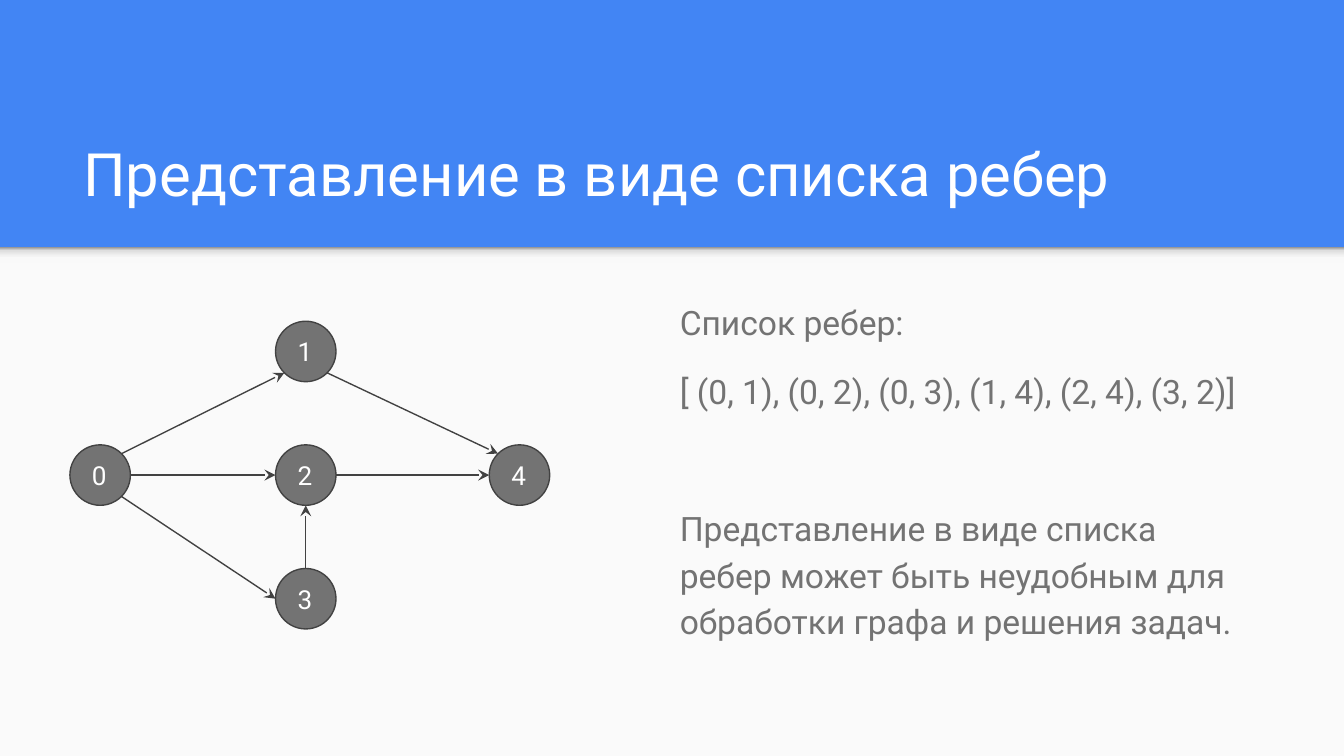
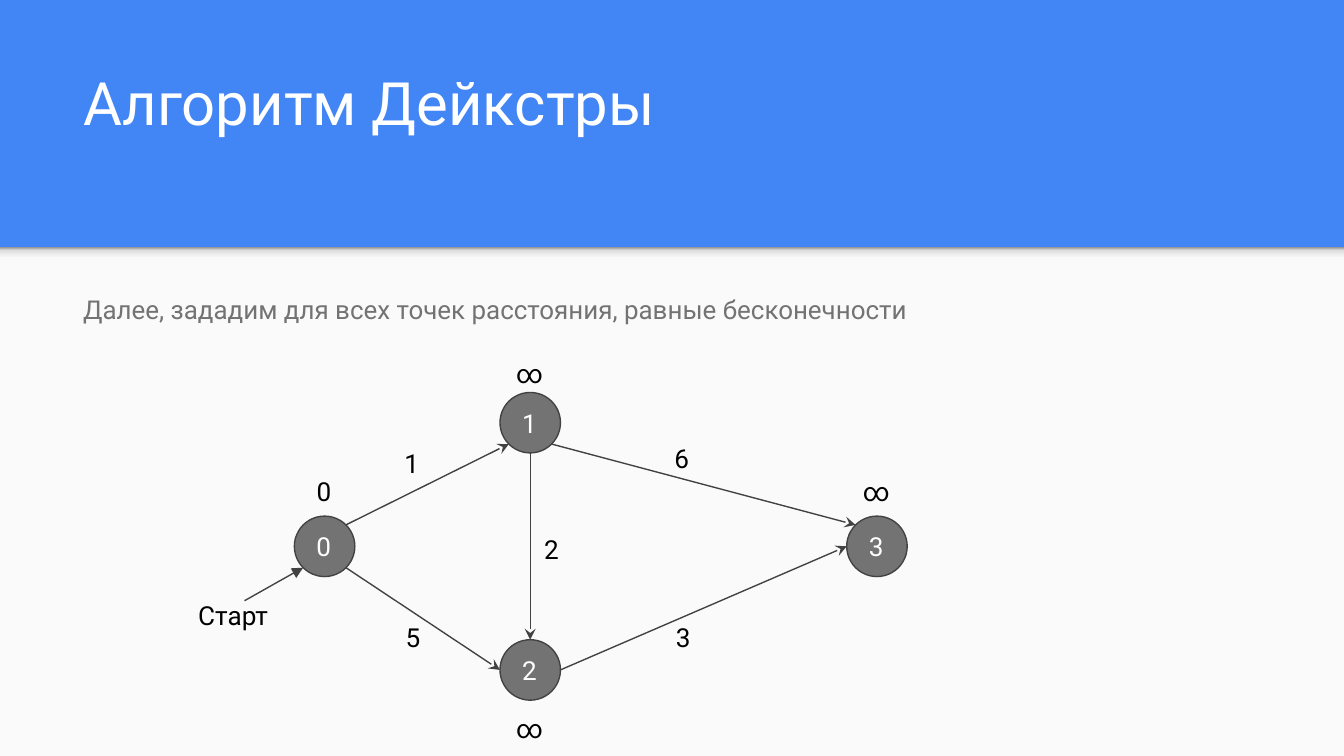
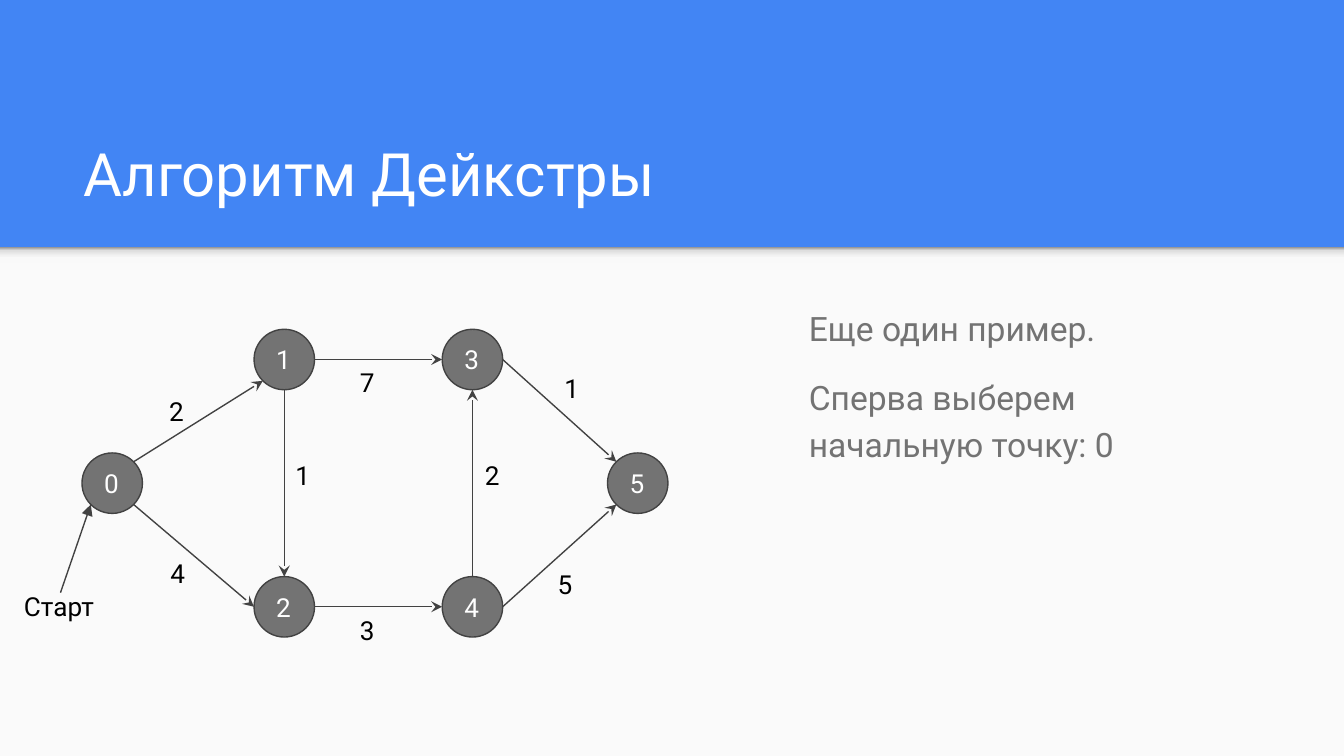
import math

import pptx
import pptx.dml.color
import pptx.enum.shapes
import pptx.enum.text
import pptx.oxml
import pptx.oxml.ns
import pptx.util
from lxml import etree

Inches = pptx.util.Inches
Pt = pptx.util.Pt
ANCHOR = pptx.enum.text.MSO_ANCHOR
ALIGN = pptx.enum.text.PP_ALIGN
SHAPE = pptx.enum.shapes.MSO_SHAPE
qn = pptx.oxml.ns.qn

# Shared look
FONT = "Roboto"
BLUE, PANEL, WHITE, BLACK = "4285F4", "FAFAFA", "FFFFFF", "000000"
GREY, DARK = "737373", "424242"
SHADOW_STOPS = [(0, "F9F9F9"), (36, "F9F9F9"), (80, "DEDEDE"), (100, "999999")]
WIDTH = 10
HEIGHT = WIDTH * 9 / 16
BAND = 1.84
INSET = 0.1

# Graph geometry
NODE, ROW = 0.45, 0.92
DIAG = math.sqrt(0.5)
SIDES = {"t": (0, -1), "b": (0, 1), "l": (-1, 0), "r": (1, 0),
         "tl": (-DIAG, -DIAG), "tr": (DIAG, -DIAG),
         "bl": (-DIAG, DIAG), "br": (DIAG, DIAG)}


def rgb(color):
    return pptx.dml.color.RGBColor.from_string(color)


def set_frame(tf, anchor=ANCHOR.TOP):
    tf.word_wrap = True
    tf.vertical_anchor = anchor
    tf.margin_left = tf.margin_right = Inches(INSET)
    tf.margin_top = tf.margin_bottom = Inches(INSET)


def add_text(tf, text, size=14, color=BLACK, align=ALIGN.LEFT,
             spacing=1.0, before=0, after=0):
    """Write one paragraph, using the first one while it is empty."""
    p = tf.paragraphs[0]
    if p.runs:
        p = tf.add_paragraph()
    p.alignment, p.line_spacing = align, spacing
    p.space_before, p.space_after = Pt(before), Pt(after)
    r = p.add_run()
    r.text = text
    r.font.name, r.font.size = FONT, Pt(size)
    r.font.color.rgb = rgb(color)


def add_box(s, x, y, w, h):
    sp = s.shapes.add_textbox(Inches(x), Inches(y), Inches(w), Inches(h))
    set_frame(sp.text_frame)
    return sp.text_frame


def add_label(s, text, x, y, w, h, **fmt):
    add_text(add_box(s, x, y, w, h), text, **fmt)


def add_filled(s, kind, x, y, w, h, fill, line=None):
    sp = s.shapes.add_shape(kind, Inches(x), Inches(y), Inches(w), Inches(h))
    sp.shadow.inherit = False
    sp.fill.solid()
    sp.fill.fore_color.rgb = rgb(fill)
    if line:
        sp.line.color.rgb = rgb(line)
        sp.line.width = Pt(0.75)
    else:
        sp.line.fill.background()
    return sp


def add_arrow(s, start, end, head="stealth"):
    points = [Inches(v) for v in (*start, *end)]
    cx = s.shapes.add_connector(pptx.enum.shapes.MSO_CONNECTOR.STRAIGHT, *points)
    cx.line.color.rgb = rgb(DARK)
    cx.line.width = Pt(0.75)
    sppr = cx._element.spPr
    etree.SubElement(sppr.find(qn("a:ln")), qn("a:tailEnd"),
                     type=head, w="med", len="med")
    etree.SubElement(sppr, qn("a:effectLst"))


def add_panel(s):
    """Light panel below the blue band, with a shadow along its top edge."""
    add_filled(s, SHAPE.RECTANGLE, 0, BAND, WIDTH, HEIGHT - BAND, PANEL)
    shadow = add_filled(s, SHAPE.RECTANGLE, 0, BAND, WIDTH, 0.12, PANEL)
    shadow.fill.gradient()
    shadow.fill.gradient_angle = 90
    stops = shadow._element.spPr.find(".//" + qn("a:gsLst"))
    for stop in list(stops):
        stops.remove(stop)
    for pos, color in SHADOW_STOPS:
        stop = etree.SubElement(stops, qn("a:gs"), pos=str(pos * 1000))
        etree.SubElement(stop, qn("a:srgbClr"), val=color)


def add_slide(prs, title, raised=0):
    """Slide with band and title; raised lifts the title inside its box."""
    s = prs.slides.add_slide(prs.slide_layouts[5])
    add_panel(s)
    sp = s.shapes.title
    sp.left, sp.top = Inches(0.52), Inches(0.81)
    sp.width, sp.height = Inches(8.99), Inches(0.84)
    set_frame(sp.text_frame, ANCHOR.BOTTOM)
    sp.text_frame.margin_bottom = Inches(INSET + raised)
    add_text(sp.text_frame, title, size=32, color=WHITE)
    return s


def add_graph(s, left, top, nodes, edges, weights=()):
    """nodes: (x, row); edges: (from, side, to, side); weights: (text, x, y)."""
    corners = [(left + x, top + row * ROW) for x, row in nodes]

    def port(i, side):
        return [c + NODE / 2 * (1 + d) for c, d in zip(corners[i], SIDES[side])]

    for i, (x, y) in enumerate(corners):
        sp = add_filled(s, SHAPE.OVAL, x, y, NODE, NODE, GREY, DARK)
        set_frame(sp.text_frame, ANCHOR.MIDDLE)
        add_text(sp.text_frame, str(i), color=WHITE)
    for a, side_a, b, side_b in edges:
        add_arrow(s, port(a, side_a), port(b, side_b))
    for text, x, y in weights:
        add_label(s, text, left + x, top + y, 0.35, 0.37)
    return corners, port


def add_start(s, tail, tip, x, y, h, align):
    add_arrow(s, tail, tip, head="triangle")
    add_label(s, "Старт", x, y, 0.91, h, align=align)


def edge_list_slide(prs):
    s = add_slide(prs, "Представление в виде списка ребер")
    tf = add_box(s, 4.96, 2.1, 4.43, 3.11)
    body = dict(size=18, color=GREY, spacing=1.15)
    add_text(tf, "Список ребер:", **body)
    add_text(tf, "[ (0, 1), (0, 2), (0, 3), (1, 4), (2, 4), (3, 2)]", before=12, **body)
    add_text(tf, "Представление в виде списка ребер может быть неудобным "
                 "для обработки графа и решения задач.", before=49, after=12, **body)
    add_graph(s, 0.52, 2.39,
              [(0, 1), (1.53, 0), (1.53, 1), (1.53, 2), (3.12, 1)],
              [(0, "r", 2, "l"), (0, "tr", 1, "bl"), (1, "br", 4, "tl"),
               (2, "r", 4, "l"), (0, "br", 3, "l"), (3, "t", 2, "b")])


def distances_slide(prs):
    s = add_slide(prs, "Алгоритм Дейкстры", raised=0.53)
    add_label(s, "Далее, зададим для всех точек расстояния, равные бесконечности",
              0.52, 2.1, 8.84, 0.6, size=13.9, color=GREY, spacing=0.95, after=12)
    corners, port = add_graph(
        s, 2.19, 2.92,
        [(0, 1), (1.53, 0), (1.53, 2), (4.11, 1)],
        [(0, "tr", 1, "bl"), (1, "br", 3, "tl"), (2, "r", 3, "l"),
         (0, "br", 2, "l"), (1, "b", 2, "t")],
        [("1", 0.72, 0.31), ("2", 1.76, 0.95), ("5", 0.73, 1.6),
         ("6", 2.73, 0.27), ("3", 2.74, 1.6)])
    add_start(s, (1.82, 4.47), port(0, "bl"), 1.28, 4.36, 0.31, ALIGN.CENTER)
    # Current distance beside each node
    offsets = [("0", -0.4), ("∞", -0.36), ("∞", 0.44), ("∞", -0.4)]
    for (x, y), (text, dy) in zip(corners, offsets):
        add_label(s, text, x - 0.02, y + dy, 0.48, 0.36, align=ALIGN.CENTER)


def second_example_slide(prs):
    s = add_slide(prs, "Алгоритм Дейкстры")
    _, port = add_graph(
        s, 0.61, 2.45,
        [(0, 1), (1.28, 0), (1.28, 2), (2.68, 0), (2.68, 2), (3.91, 1)],
        [(0, "tr", 1, "bl"), (0, "br", 2, "l"), (1, "b", 2, "t"),
         (2, "r", 4, "l"), (4, "t", 3, "b"), (4, "r", 5, "bl"),
         (1, "r", 3, "l"), (3, "r", 5, "tl")],
        [("2", 0.55, 0.39), ("4", 0.56, 1.6), ("1", 1.49, 0.87),
         ("3", 1.97, 2.02), ("7", 1.97, 0.18), ("2", 2.9, 0.87),
         ("5", 3.44, 1.68), ("1", 3.49, 0.22)])
    tf = add_box(s, 5.92, 2.15, 3.44, 3.27)
    body = dict(size=18, color=GREY, spacing=1.15)
    add_text(tf, "Еще один пример.", **body)
    add_text(tf, "Сперва выберем начальную точку: 0", before=12, after=12, **body)
    add_start(s, (0.45, 4.41), port(0, "bl"), 0.08, 4.29, 0.27, ALIGN.LEFT)


def main():
    prs = pptx.Presentation()
    prs.slide_width, prs.slide_height = Inches(WIDTH), Inches(HEIGHT)
    background = prs.slide_master.background.fill
    background.solid()
    background.fore_color.rgb = rgb(BLUE)
    edge_list_slide(prs)
    distances_slide(prs)
    second_example_slide(prs)
    prs.save("out.pptx")


if __name__ == "__main__":
    main()
